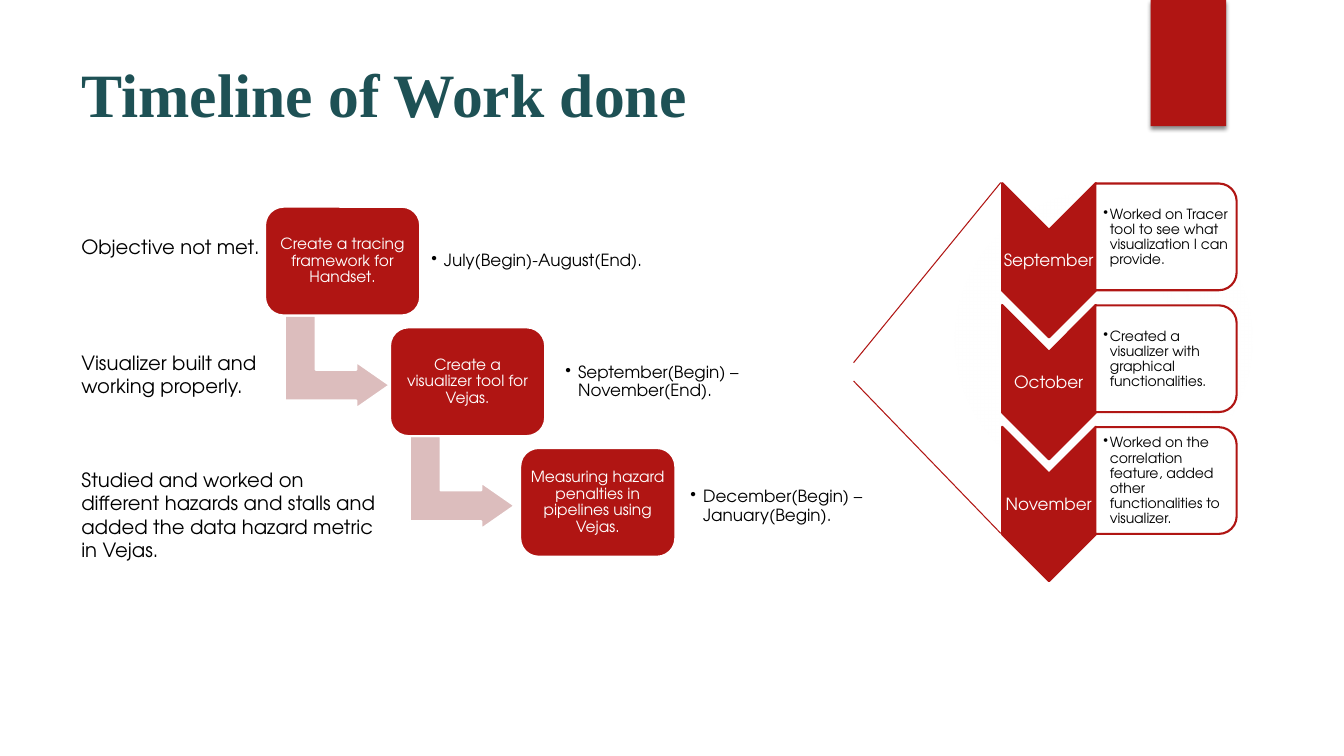
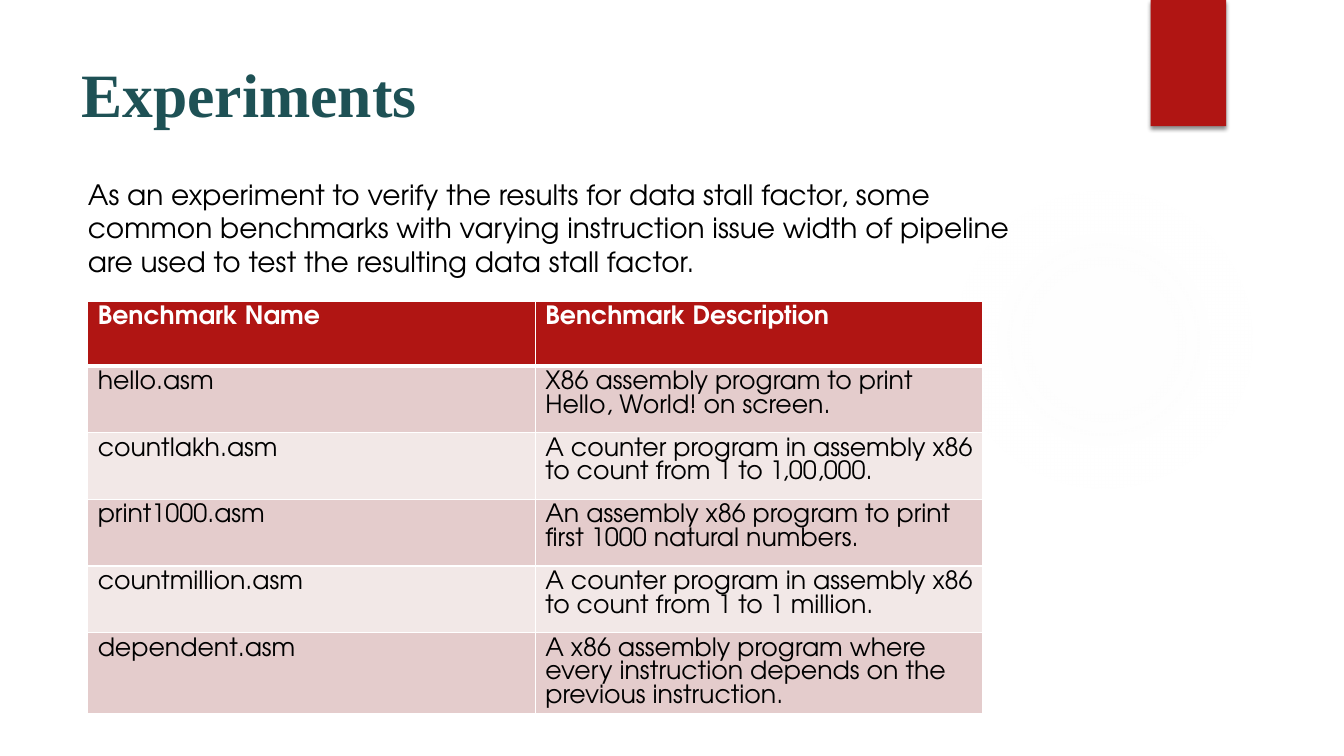
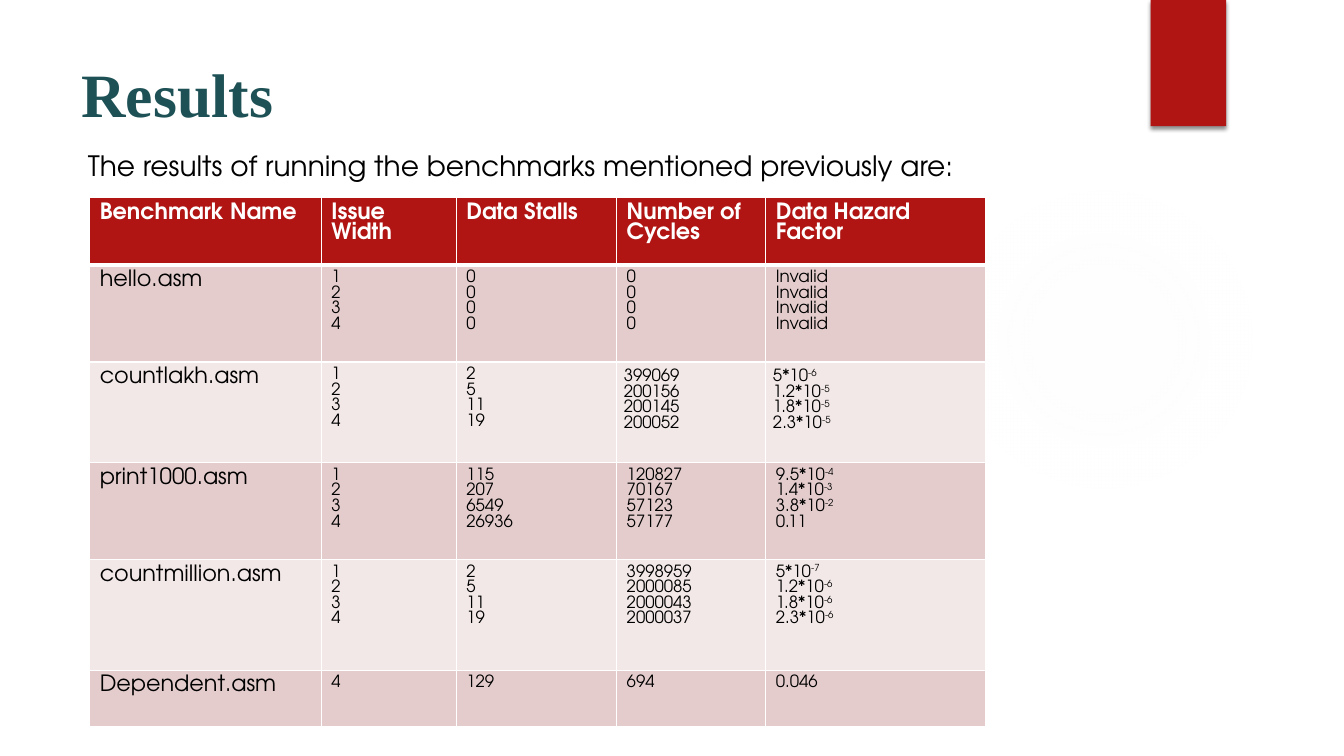
from dataclasses import dataclass
from typing import NamedTuple, Optional

from lxml import etree
from pptx import Presentation
from pptx import util as u
from pptx.dml.color import RGBColor
from pptx.enum import shapes, text
from pptx.oxml import parse_xml
from pptx.oxml.ns import nsdecls, qn

RED = RGBColor(0xB0, 0x15, 0x13)
TEAL = RGBColor(0x1E, 0x51, 0x55)
PINK = RGBColor(0xDC, 0xBD, 0xBD)
BAND_DARK = RGBColor(0xE4, 0xCC, 0xCC)
BAND_LIGHT = RGBColor(0xF2, 0xE8, 0xE7)
WHITE = RGBColor(0xFF, 0xFF, 0xFF)
BLACK = RGBColor(0, 0, 0)
BODY_FONT = "TeX Gyre Adventor"
TITLE_FONT = "Times New Roman"
MSO = shapes.MSO_SHAPE


class Box(NamedTuple):
    """A frame in centimetres."""
    left: float
    top: float
    width: float
    height: float

    def lengths(self) -> list:
        """Return the four lengths for python-pptx."""
        return [u.Cm(v) for v in self]


@dataclass
class Style:
    """How a piece of text looks."""
    size: float
    color: RGBColor = BLACK
    bold: bool = False
    font: str = BODY_FONT
    align: text.PP_ALIGN = text.PP_ALIGN.LEFT
    spacing: Optional[float] = None
    bullet: float = 0


@dataclass
class Step:
    """One stage of the staircase, with its dates and its outcome."""
    task: str
    left: float
    dates: str
    dates_box: Box
    outcome: str
    outcome_box: Box


class Month(NamedTuple):
    """One chevron with its note."""
    name: str
    note: str


class Grid(NamedTuple):
    """A table: place, sizes in centimetres, text sizes and cell texts."""
    left: float
    top: float
    cols: list
    rows: list
    name_size: float
    value_size: float
    cells: list
    tight_cells: tuple = ()


def write(tf, content: str, style: Style) -> None:
    """Write lines of text; a caret starts a superscript."""
    for i, line in enumerate(content.split("\n")):
        p = tf.paragraphs[0] if i == 0 else tf.add_paragraph()
        p.alignment = style.align
        if style.spacing:
            p.line_spacing = style.spacing
        if style.bullet:
            pPr = p._p.get_or_add_pPr()
            indent = u.Cm(style.bullet)
            pPr.set("marL", str(indent))
            pPr.set("indent", str(-indent))
            etree.SubElement(pPr, qn("a:buChar")).set("char", "•")
        base, _, power = line.partition("^")
        for part in filter(None, (base, power)):
            r = p.add_run()
            r.text = part
            r.font.name, r.font.size = style.font, u.Pt(style.size)
            r.font.bold, r.font.color.rgb = style.bold, style.color
            if part is power:
                r._r.get_or_add_rPr().set("baseline", "30000")


def set_margins(frame, left: float, top: float, right: float, bottom: float) -> None:
    """Set the insets of a text frame or a table cell."""
    frame.margin_left, frame.margin_top = u.Cm(left), u.Cm(top)
    frame.margin_right, frame.margin_bottom = u.Cm(right), u.Cm(bottom)


def add_text(s, box: Box, content: str, style: Style, margins: Optional[tuple] = None) -> None:
    """Add a wrapping text box, centred vertically when it has its own insets."""
    tf = s.shapes.add_textbox(*box.lengths()).text_frame
    tf.word_wrap = True
    if margins:
        set_margins(tf, *margins)
        tf.vertical_anchor = text.MSO_ANCHOR.MIDDLE
    write(tf, content, style)


def add_shape(s, kind, box: Box, fill: RGBColor, line: Optional[RGBColor] = None,
              rotation: float = 0, adjust: tuple = ()):
    """Add a flat preset shape."""
    sp = s.shapes.add_shape(kind, *box.lengths())
    sp.shadow.inherit = False
    sp.rotation = rotation
    for i, value in enumerate(adjust):
        sp.adjustments[i] = value
    sp.fill.solid()
    sp.fill.fore_color.rgb = fill
    if line is None:
        sp.line.fill.background()
    else:
        sp.line.color.rgb, sp.line.width = line, u.Pt(1.5)
    return sp


def add_line(s, x1: float, y1: float, x2: float, y2: float) -> None:
    """Add a thin red line."""
    c = s.shapes.add_connector(shapes.MSO_CONNECTOR.STRAIGHT,
                               u.Cm(x1), u.Cm(y1), u.Cm(x2), u.Cm(y2))
    c.line.color.rgb, c.line.width = RED, u.Pt(0.75)
    etree.SubElement(c._element.spPr, qn("a:effectLst"))


def decorate_master(prs, s) -> None:
    """Draw the halo and the ribbon, then move them to the slide master."""
    halo = add_shape(s, MSO.OVAL, Box(23.9, 4.65, 7.82, 7.82), WHITE)
    stops = "".join(
        f'<a:gs pos="{pos}000"><a:srgbClr val="F3F3F3"><a:alpha val="{alpha}000"/>'
        "</a:srgbClr></a:gs>" for pos, alpha in ((0, 7), (36, 6), (69, 0)))
    gradient = parse_xml(
        f'<a:gradFill {nsdecls("a")}><a:gsLst>{stops}</a:gsLst><a:path path="circle">'
        '<a:fillToRect l="50000" t="50000" r="50000" b="50000"/></a:path></a:gradFill>')
    spPr = halo._element.spPr
    spPr.replace(spPr.find(qn("a:solidFill")), gradient)

    ribbon = add_shape(s, MSO.RECTANGLE, Box(29, 0, 1.9, 3.18), RED)
    ribbon._element.spPr.find(qn("a:effectLst")).append(parse_xml(
        f'<a:outerShdw {nsdecls("a")} blurRad="{u.Pt(3)}" dist="{u.Pt(2)}" dir="5400000">'
        '<a:srgbClr val="000000"><a:alpha val="45000"/></a:srgbClr></a:outerShdw>'))
    tree = prs.slide_master.shapes.element
    for i, sp in enumerate((halo, ribbon)):
        tree.insert(2 + i, sp._element)


def place(sp, box: Box):
    """Move a placeholder and return its text frame, anchored at the top."""
    sp.left, sp.top, sp.width, sp.height = box.lengths()
    tf = sp.text_frame
    tf.word_wrap = True
    tf.auto_size = text.MSO_AUTO_SIZE.NONE
    tf.vertical_anchor = text.MSO_ANCHOR.TOP
    return tf


def add_slide(prs, title: str, body: str = "", body_top: float = 0):
    """Add a slide with its title and, if given, a body paragraph."""
    s = prs.slides.add_slide(prs.slide_layouts[1 if body else 5])
    tf = place(s.shapes.title, Box(1.8, 1.27, 26.14, 3.89))
    write(tf, title, Style(44, TEAL, True, TITLE_FONT))
    if body:
        tf = place(s.placeholders[1], Box(1.96, body_top, 24.84, 11.66))
        write(tf, body, Style(20))
        p = tf.paragraphs[0]
        p.space_before = u.Pt(10)
        pPr = p._p.get_or_add_pPr()
        pPr.set("marL", "0")
        pPr.set("indent", "0")
        etree.SubElement(pPr, qn("a:buNone"))
    return s


def set_borders(cell, bottom: float) -> None:
    """Give a cell white borders, with its own bottom width in points."""
    tcPr = cell._tc.get_or_add_tcPr()
    for i, (side, width) in enumerate((("L", 1), ("R", 1), ("T", 1), ("B", bottom))):
        tcPr.insert(i, parse_xml(
            f'<a:ln{side} {nsdecls("a")} w="{u.Pt(width)}"><a:solidFill>'
            f'<a:srgbClr val="{WHITE}"/></a:solidFill></a:ln{side}>'))


def add_grid(s, grid: Grid) -> None:
    """Draw a banded table with a red header row."""
    box = Box(grid.left, grid.top, sum(grid.cols), sum(grid.rows))
    table = s.shapes.add_table(len(grid.rows), len(grid.cols), *box.lengths()).table
    for col, width in zip(table.columns, grid.cols):
        col.width = u.Cm(width)
    for y, (row, height) in enumerate(zip(table.rows, grid.rows)):
        row.height = u.Cm(height)
        header = y == 0
        for x, content in enumerate(grid.cells[y]):
            cell = row.cells[x]
            cell.fill.solid()
            cell.fill.fore_color.rgb = RED if header else (BAND_LIGHT, BAND_DARK)[y % 2]
            set_borders(cell, 3 if header else 1)
            size = grid.name_size if header or x == 0 else grid.value_size
            write(cell.text_frame, content, Style(size, WHITE if header else BLACK, header))
    for y, x in grid.tight_cells:
        set_margins(table.cell(y, x), *[0.18] * 4)


STEPS = [
    Step("Create a tracing framework for Handset.", 6.68,
         "July(Begin)-August(End).", Box(10.74, 6.07, 7.19, 1.02),
         "Objective not met.", Box(1.8, 5.79, 5.82, 0.86)),
    Step("Create a visualizer tool for Vejas.", 9.83,
         "September(Begin) – November(End).", Box(14.12, 8.53, 6.83, 2.21),
         "Visualizer built and working properly.", Box(1.8, 8.71, 5.82, 1.45)),
    Step("Measuring hazard penalties in pipelines using Vejas.", 13.11,
         "December(Begin) – January(Begin).", Box(17.27, 11.66, 4.88, 2.21),
         "Studied and worked on different hazards and stalls and added the data "
         "hazard metric in Vejas.", Box(1.8, 11.66, 8.1, 2.64)),
]
MONTHS = [
    Month("September", "Worked on Tracer tool to see what visualization I can provide."),
    Month("October", "Created a visualizer with graphical functionalities."),
    Month("November", "Worked on the correlation feature, added other functionalities "
                      "to visualizer."),
]
WIDTHS = "1\n2\n3\n4"
STALLS = "2\n5\n11\n19"
BENCHMARKS = Grid(2.21, 7.59, [11.28] * 2, [1.63] + [1.68] * 4 + [1.63], 18, 18, [
    ["Benchmark Name", "Benchmark Description"],
    ["hello.asm", "X86 assembly program to print Hello, World! on screen."],
    ["countlakh.asm", "A counter program in assembly x86 to count from 1 to 1,00,000."],
    ["print1000.asm", "An assembly x86 program to print first 1000 natural numbers."],
    ["countmillion.asm", "A counter program in assembly x86 to count from 1 to 1 million."],
    ["dependent.asm", "A x86 assembly program where every instruction depends on the "
                      "previous instruction."],
])
RESULTS = Grid(2.26, 4.98, [5.84, 3.4, 4.04, 3.76, 5.54],
               [1.7, 2.44, 2.54, 2.44, 2.79, 1.42], 16, 12, [
    ["Benchmark Name", "Issue Width", "Data Stalls", "Number of Cycles ",
     "Data Hazard Factor"],
    ["hello.asm", WIDTHS, "0\n0\n0\n0", "0\n0\n0\n0", "Invalid\nInvalid\nInvalid\nInvalid"],
    ["countlakh.asm", WIDTHS, STALLS, "399069\n200156\n200145\n200052",
     "5*10^-6\n1.2*10^-5\n1.8*10^-5\n2.3*10^-5"],
    ["print1000.asm", WIDTHS, "115\n207\n6549\n26936", "120827\n70167\n57123\n57177",
     "9.5*10^-4\n1.4*10^-3\n3.8*10^-2\n0.11"],
    ["countmillion.asm", WIDTHS, STALLS, "3998959\n2000085\n2000043\n2000037",
     "5*10^-7\n1.2*10^-6\n1.8*10^-6\n2.3*10^-6"],
    ["Dependent.asm", "4", "129", "694", "0.046"],
], ((2, 3), (2, 4)))


def draw_steps(s) -> None:
    """Draw the staircase of tasks with bent arrows between them."""
    task_style = Style(11, WHITE, align=text.PP_ALIGN.CENTER, spacing=0.9)
    for i, step in enumerate(STEPS):
        top = 5.21 + 3.04 * i
        if i < len(STEPS) - 1:
            add_shape(s, MSO.BENT_UP_ARROW, Box(step.left + 0.65, top + 2.59, 2.34, 2.64),
                      PINK, WHITE, 90, (0.33, 0.25, 0.36))
        sp = add_shape(s, MSO.ROUNDED_RECTANGLE, Box(step.left, top, 3.91, 2.74),
                       RED, WHITE, adjust=(0.17,))
        tf = sp.text_frame
        tf.word_wrap = True
        tf.vertical_anchor = text.MSO_ANCHOR.MIDDLE
        set_margins(tf, *[0.13] * 4)
        write(tf, step.task, task_style)
        add_text(s, step.dates_box, step.dates, Style(12, spacing=0.9, bullet=0.32),
                 (0.13,) * 4)
        add_text(s, step.outcome_box, step.outcome, Style(14))


def draw_months(s) -> None:
    """Draw the column of chevrons with a note beside each."""
    name_style = Style(12, WHITE, align=text.PP_ALIGN.CENTER, spacing=0.9)
    for i, month in enumerate(MONTHS):
        shift = 3.07 * i
        add_shape(s, MSO.CHEVRON, Box(24.49, 5.38 + shift, 3.89, 2.36), RED, RED, 90)
        add_text(s, Box(25.25, 5.82 + shift, 2.36, 1.52), month.name, name_style,
                 (0.02,) * 4)
        add_shape(s, MSO.ROUND_2_SAME_RECTANGLE, Box(28.04, 4.19 + shift, 2.69, 3.56),
                  WHITE, RED, 90)
        add_text(s, Box(27.61, 4.77 + shift, 3.43, 2.44), month.note,
                 Style(10, spacing=0.9, bullet=0.16), (0.2, 0.02, 0.02, 0.02))


def main() -> None:
    """Build and save the presentation."""
    prs = Presentation()
    prs.slide_width, prs.slide_height = u.Cm(33.87), u.Cm(19.05)

    s = add_slide(prs, "Timeline of Work done")
    decorate_master(prs, s)
    draw_steps(s)
    draw_months(s)
    add_line(s, 25.22, 13.44, 21.51, 9.6)
    add_line(s, 25.22, 4.6, 21.51, 9.14)

    s = add_slide(prs, "Experiments",
                  "As an experiment to verify the results for data stall factor, some "
                  "common benchmarks with varying instruction issue width of pipeline are "
                  "used to test the resulting data stall factor.", 4.34)
    add_grid(s, BENCHMARKS)

    s = add_slide(prs, "Results",
                  "The results of running the benchmarks mentioned previously are:", 3.61)
    add_grid(s, RESULTS)
    prs.save("out.pptx")


main()
